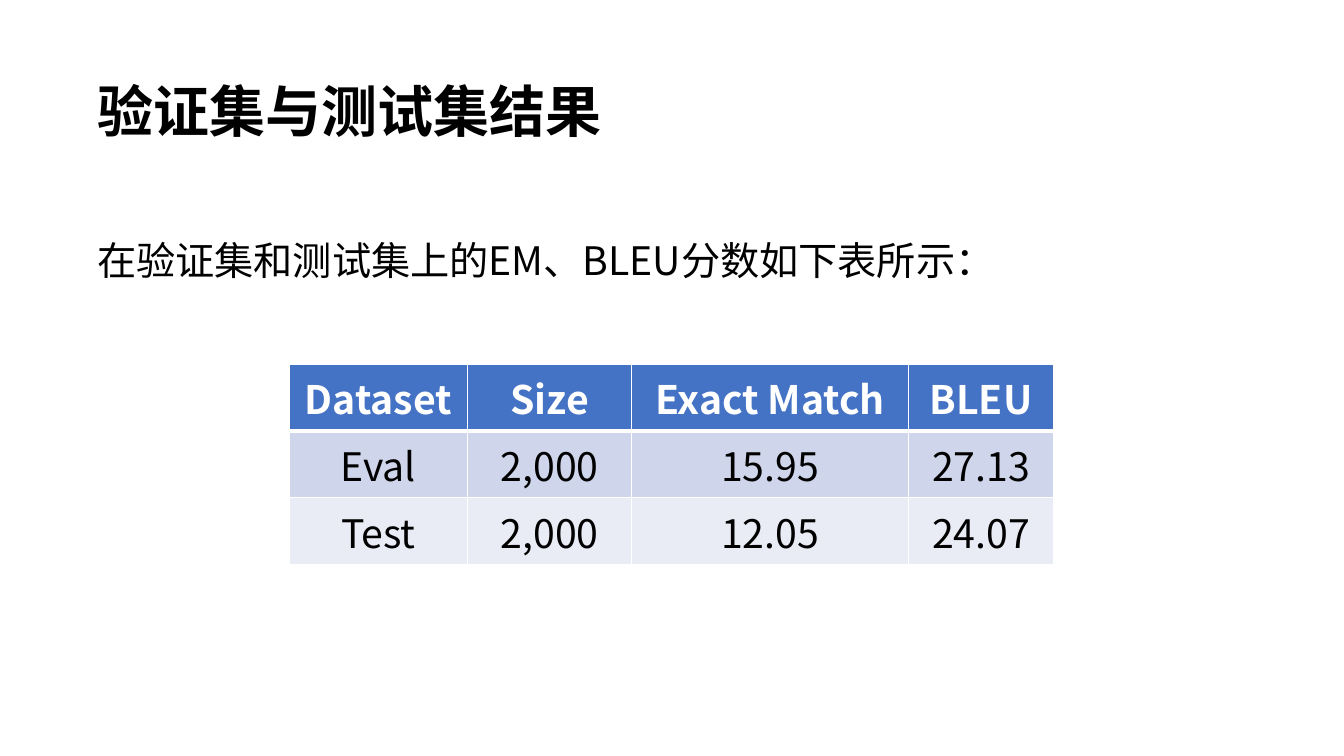
"""Builds the slide with validation and test set results."""
from dataclasses import dataclass

from lxml.etree import SubElement
from pptx import Presentation
from pptx.dml.color import RGBColor
from pptx.enum.text import MSO_ANCHOR, MSO_AUTO_SIZE, PP_ALIGN
from pptx.oxml.ns import qn
from pptx.util import Inches, Pt


@dataclass(frozen=True)
class Theme:
    font: str = "Noto Sans CJK SC"
    title_size: int = 40
    body_size: int = 28
    ink: str = "000000"
    paper: str = "FFFFFF"
    header: str = "4472C4"
    bands: tuple = ("CFD5EA", "E9EBF5")


theme = Theme()


def write(frame, text, size=theme.body_size, color=theme.ink, bold=False,
          align=PP_ALIGN.LEFT, spacing=None):
    para = frame.paragraphs[0]
    para.alignment = align
    para.line_spacing = spacing
    span = para.add_run()
    span.text = text
    span.font.size = Pt(size)
    span.font.bold = bold
    span.font.color.rgb = RGBColor.from_string(color)
    span.font.name = theme.font
    SubElement(span._r.get_or_add_rPr(), qn("a:ea"), typeface=theme.font)


def draw_borders(cell, **widths):
    properties = cell._tc.get_or_add_tcPr()
    for side, width in widths.items():
        line = SubElement(properties, qn(f"a:ln{side}"), w=str(Pt(width)))
        fill = SubElement(line, qn("a:solidFill"))
        SubElement(fill, qn("a:srgbClr"), val=theme.paper)


deck = Presentation()
deck.slide_width, deck.slide_height = Inches(13.33), Inches(7.5)
wide, high = deck.slide_width, deck.slide_height
page = deck.slides.add_slide(deck.slide_layouts[5])

margin = int(wide * 0.065)
title = page.shapes.title
title.left, title.top = margin, int(high * 0.085)
title.width, title.height = int(wide * 0.391), int(high * 0.113)
intro = page.shapes.add_textbox(margin, int(high * 0.299),
                                int(wide * 0.694), int(high * 0.083))

for box, text, size, bold in (
    (title, "验证集与测试集结果", theme.title_size, True),
    (intro, "在验证集和测试集上的EM、BLEU分数如下表所示：", theme.body_size, False),
):
    frame = box.text_frame
    frame.auto_size = MSO_AUTO_SIZE.NONE
    frame.word_wrap = False
    frame.vertical_anchor = MSO_ANCHOR.BOTTOM
    write(frame, text, size=size, bold=bold, spacing=0.9)

results = (
    ("Dataset", "Size", "Exact Match", "BLEU"),
    ("Eval", "2,000", "15.95", "27.13"),
    ("Test", "2,000", "12.05", "24.07"),
)
column_shares = (0.133, 0.122, 0.206, 0.108)
table = page.shapes.add_table(
    len(results), len(column_shares), int(wide * 0.215), int(high * 0.482),
    int(wide * sum(column_shares)), int(high * 0.227)).table
for column, share in zip(table.columns, column_shares):
    column.width = int(wide * share)

for row, values in enumerate(results):
    is_header = row == 0
    for column, value in enumerate(values):
        cell = table.cell(row, column)
        draw_borders(cell, L=1, R=1, T=3 if row == 1 else 1, B=3 if is_header else 1)
        cell.fill.solid()
        cell.fill.fore_color.rgb = RGBColor.from_string(
            theme.header if is_header else theme.bands[row - 1])
        write(cell.text_frame, value, bold=is_header, align=PP_ALIGN.CENTER,
              color=theme.paper if is_header else theme.ink)

deck.save("out.pptx")
